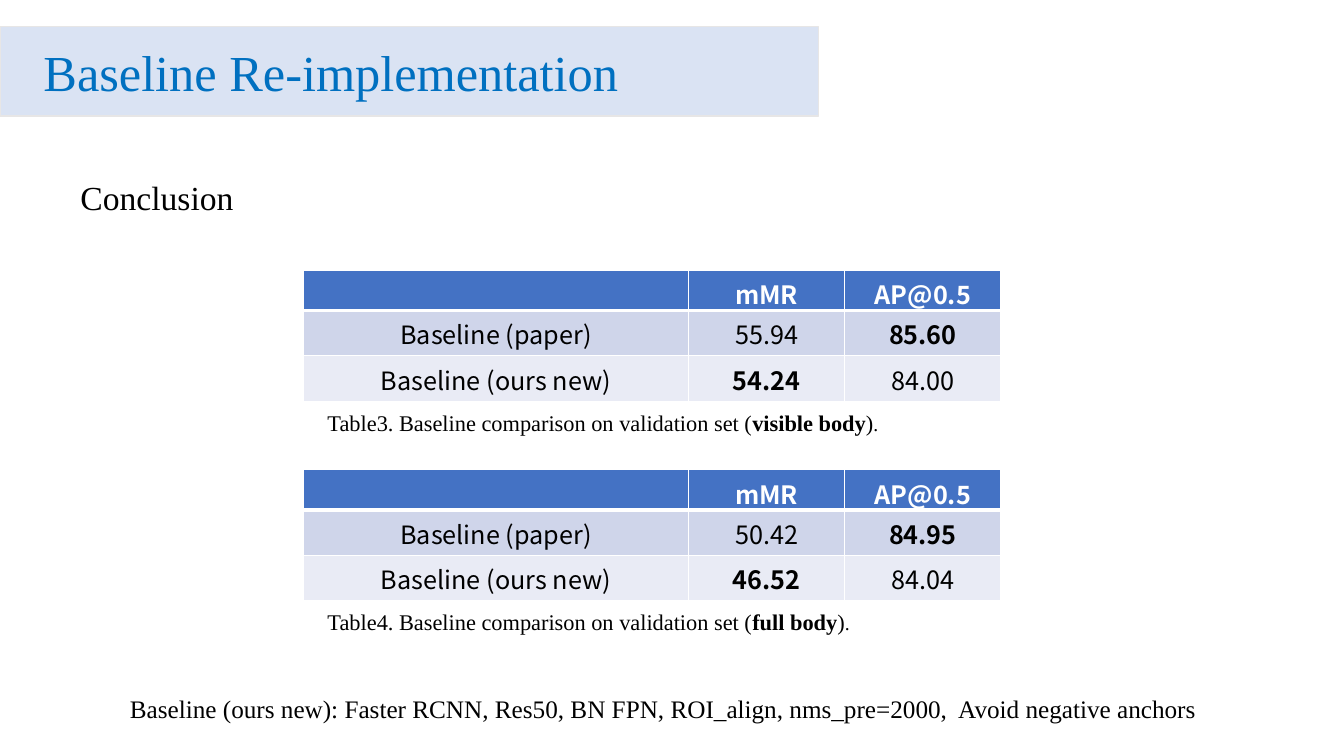
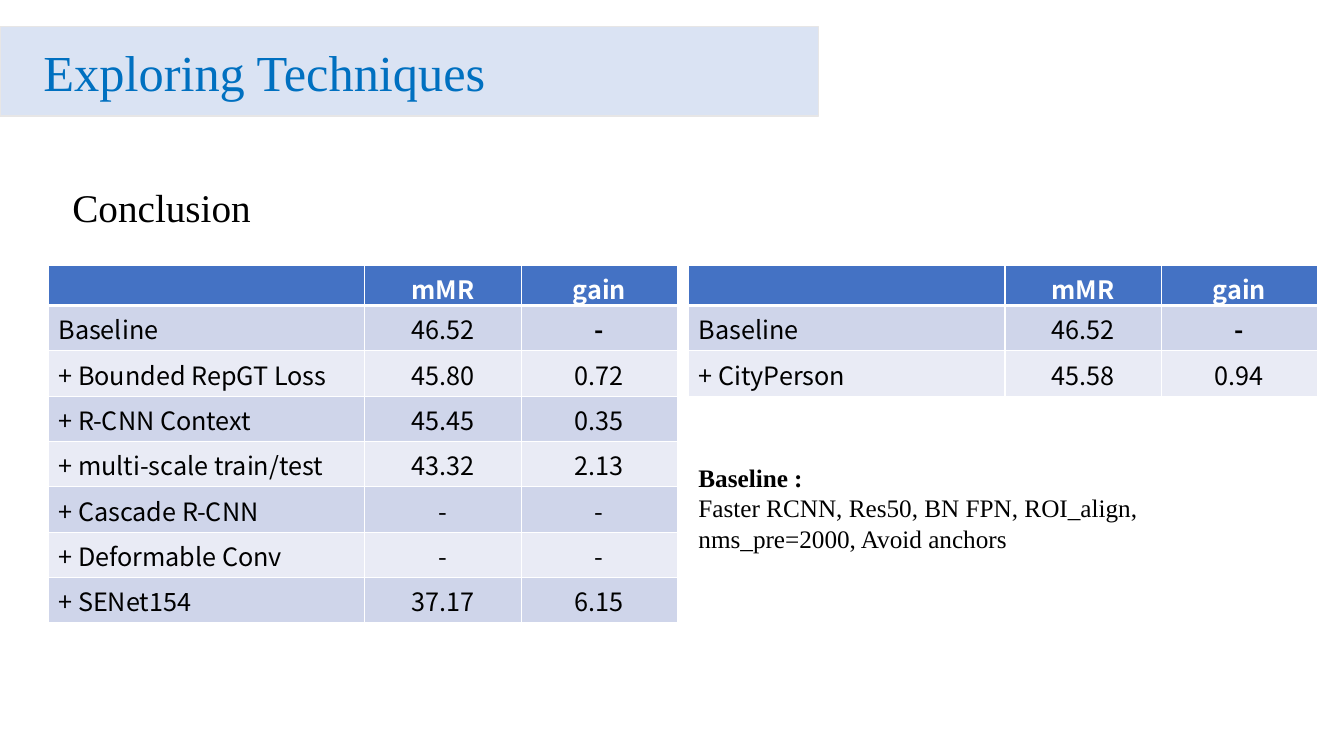
"""Build two slides on baseline re-implementation and explored techniques."""
from pptx import Presentation
from pptx.dml.color import RGBColor
from pptx.enum.shapes import MSO_SHAPE
from pptx.enum.text import MSO_ANCHOR, MSO_AUTO_SIZE, PP_ALIGN
from pptx.oxml import parse_xml
from pptx.oxml.ns import nsdecls
from pptx.util import Inches, Pt

COLORS = {"band": "DAE3F3", "edge": "E7E6E6", "title": "0070C0", "text": "000000",
          "head": "4472C4", "odd": "CFD5EA", "even": "E9EBF5", "white": "FFFFFF"}
SERIF, SANS = "Times New Roman", "Noto Sans CJK SC"
HEAD_ROW, BODY_ROW, NUM_COL = 5.33, 6, 11.63

prs = Presentation()
prs.slide_width, prs.slide_height = Inches(13.33), Inches(7.5)
COL, ROW = prs.slide_width / 100, prs.slide_height / 100


def add_text(s, box, size, lines):
    """Add a text box; each line is a list of (text, bold, size) runs."""
    x, y, w, h = box
    tf = s.shapes.add_textbox(int(x * COL), int(y * ROW), int(w * COL), int(h * ROW)).text_frame
    tf.word_wrap = True
    for i, line in enumerate(lines):
        p = tf.paragraphs[0] if i == 0 else tf.add_paragraph()
        for text, bold, *other in line:
            r = p.add_run()
            r.text = text
            r.font.name, r.font.bold = SERIF, bold
            r.font.size = Pt(other[0] if other else size)
            r.font.color.rgb = RGBColor.from_string(COLORS["text"])


def add_grid(s, x, y, name_col, rows, bold, name_align):
    """Add a banded table with a name column and two number columns."""
    widths = [name_col, NUM_COL, NUM_COL]
    heights = [HEAD_ROW] + [BODY_ROW] * (len(rows) - 1)
    table = s.shapes.add_table(len(rows), 3, int(x * COL), int(y * ROW),
                               int(sum(widths) * COL), int(sum(heights) * ROW)).table
    for column, width in zip(table.columns, widths):
        column.width = int(width * COL)
    for i, values in enumerate(rows):
        table.rows[i].height = int(heights[i] * ROW)
        for j, value in enumerate(values):
            cell = table.cell(i, j)
            cell.fill.solid()
            fill = "head" if i == 0 else "odd" if i % 2 else "even"
            cell.fill.fore_color.rgb = RGBColor.from_string(COLORS[fill])
            if i == 0:
                cell.margin_bottom = 0
            tc_pr = cell._tc.get_or_add_tcPr()
            for k, side in enumerate("LRTB"):
                thick = (i, side) in [(0, "B"), (1, "T")]
                tc_pr.insert(k, parse_xml(
                    f'<a:ln{side} {nsdecls("a")} w="{Pt(3 if thick else 1)}"><a:solidFill>'
                    f'<a:srgbClr val="{COLORS["white"]}"/></a:solidFill></a:ln{side}>'))
            if value:
                p = cell.text_frame.paragraphs[0]
                p.alignment = name_align if j == 0 else PP_ALIGN.CENTER
                r = p.add_run()
                r.text = value
                r.font.name, r.font.size = SANS, Pt(18)
                r.font.bold = i == 0 or (i, j) in bold
                r.font.color.rgb = RGBColor.from_string(COLORS["white" if i == 0 else "text"])


layout = prs.slide_layouts[5]
holder = layout.placeholders[0]
holder.left, holder.top = int(2.48 * COL), int(4.67 * ROW)
holder.width, holder.height = int(45.15 * COL), int(9.47 * ROW)

slides = []
for title in ["Baseline Re-implementation", "Exploring Techniques"]:
    s = prs.slides.add_slide(layout)
    tf = s.shapes.title.text_frame
    tf.auto_size, tf.vertical_anchor = MSO_AUTO_SIZE.NONE, MSO_ANCHOR.MIDDLE
    p = tf.paragraphs[0]
    p.alignment = PP_ALIGN.LEFT
    r = p.add_run()
    r.text = title
    r.font.name, r.font.size = SERIF, Pt(36)
    r.font.color.rgb = RGBColor.from_string(COLORS["title"])
    slides.append(s)
baseline, techniques = slides

band = baseline.shapes.add_shape(MSO_SHAPE.FLOWCHART_PROCESS, 0, int(3.47 * ROW),
                                 int(60.9 * COL), int(11.87 * ROW))
band.shadow.inherit = False
band.fill.solid()
band.fill.fore_color.rgb = RGBColor.from_string(COLORS["band"])
band.line.color.rgb = RGBColor.from_string(COLORS["edge"])
band.line.width = Pt(1)
layout.shapes._spTree.insert(2, band._element)

add_text(baseline, (5.25, 22.8, 64.8, 6.67), 24, [[("Conclusion", False)]])
comparisons = [
    (35.73, "Table3", "visible body", ["55.94", "85.60"], ["54.24", "84.00"]),
    (62.13, "Table4", "full body", ["50.42", "84.95"], ["46.52", "84.04"]),
]
for top, label, subset, paper, ours in comparisons:
    add_grid(baseline, 22.58, top, 28.65,
             [["", "mMR", "AP@0.5"], ["Baseline (paper)", *paper], ["Baseline (ours new)", *ours]],
             [(1, 2), (2, 1)], PP_ALIGN.CENTER)
    add_text(baseline, (23.63, top + 17.7, 64.8, 4.93), 16,
             [[(f"{label}. Baseline comparison on validation set (", False),
               (subset, True), (")", False), (".", False, 14)]])
add_text(baseline, (8.93, 91.07, 83.78, 5.33), 18,
         [[("Baseline (ours new): Faster RCNN, Res50, BN FPN, ROI_align, nms_pre=2000,  "
            "Avoid negative anchors", False)]])

add_text(techniques, (4.65, 23.6, 15, 7.6), 28, [[("Conclusion", False)]])
first_rows = [["", "mMR", "gain"], ["Baseline", "46.52", "-"]]
gains = [
    (3.6, [["+ Bounded RepGT Loss", "45.80", "0.72"],
           ["+ R-CNN Context", "45.45", "0.35"],
           ["+ multi-scale train/test", "43.32", "2.13"],
           ["+ Cascade R-CNN", "-", "-"],
           ["+ Deformable Conv", "-", "-"],
           ["+ SENet154", "37.17", "6.15"]]),
    (51.23, [["+ CityPerson", "45.58", "0.94"]]),
]
for left, rows in gains:
    add_grid(techniques, left, 35.07, 23.55, first_rows + rows, [(1, 2)], PP_ALIGN.LEFT)
add_text(techniques, (51.23, 60.53, 46.73, 13.47), 18,
         [[("Baseline :", True)],
          [("Faster RCNN, Res50, BN FPN, ROI_align,", False)],
          [("nms_pre=2000, Avoid anchors", False)]])

prs.save("out.pptx")
